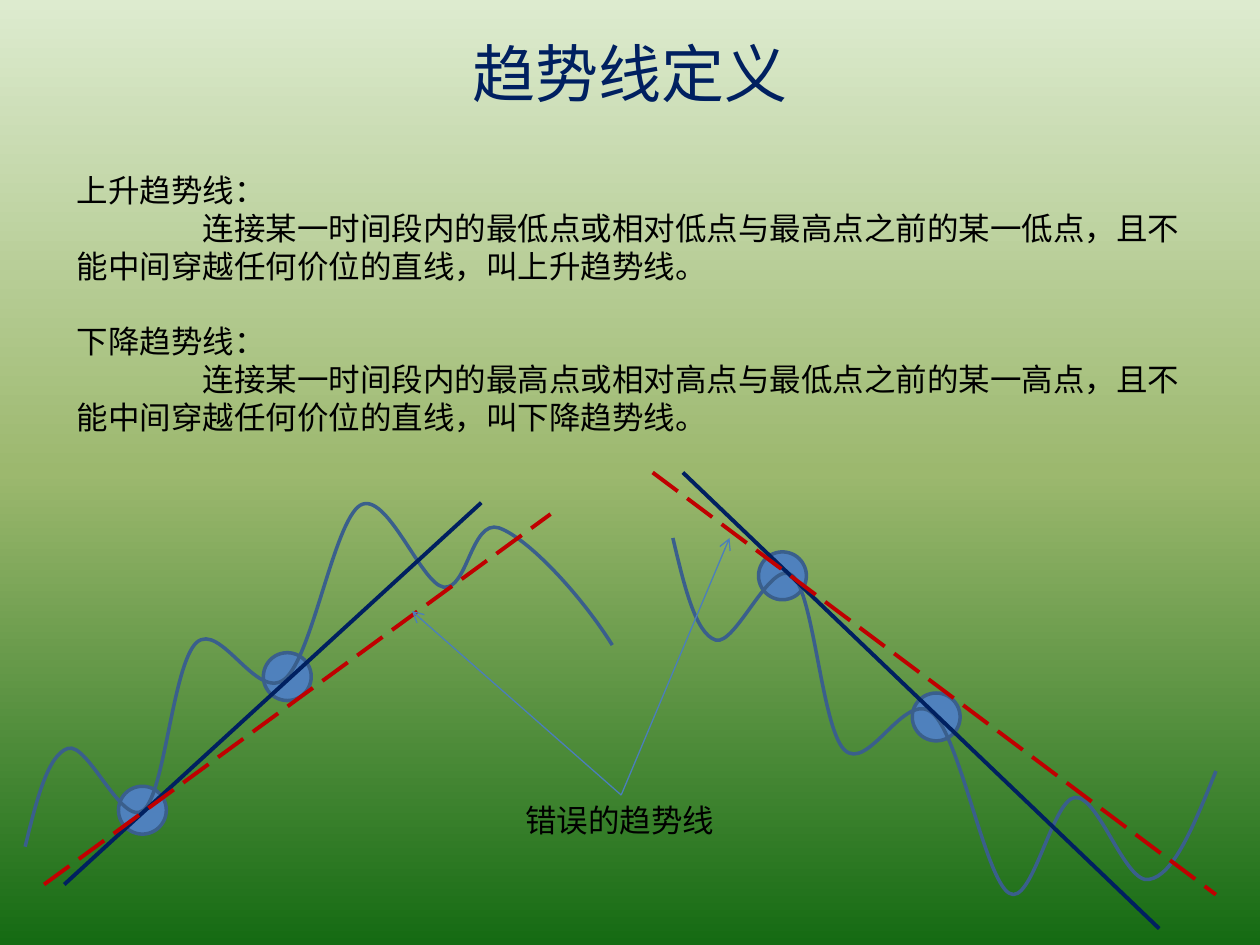
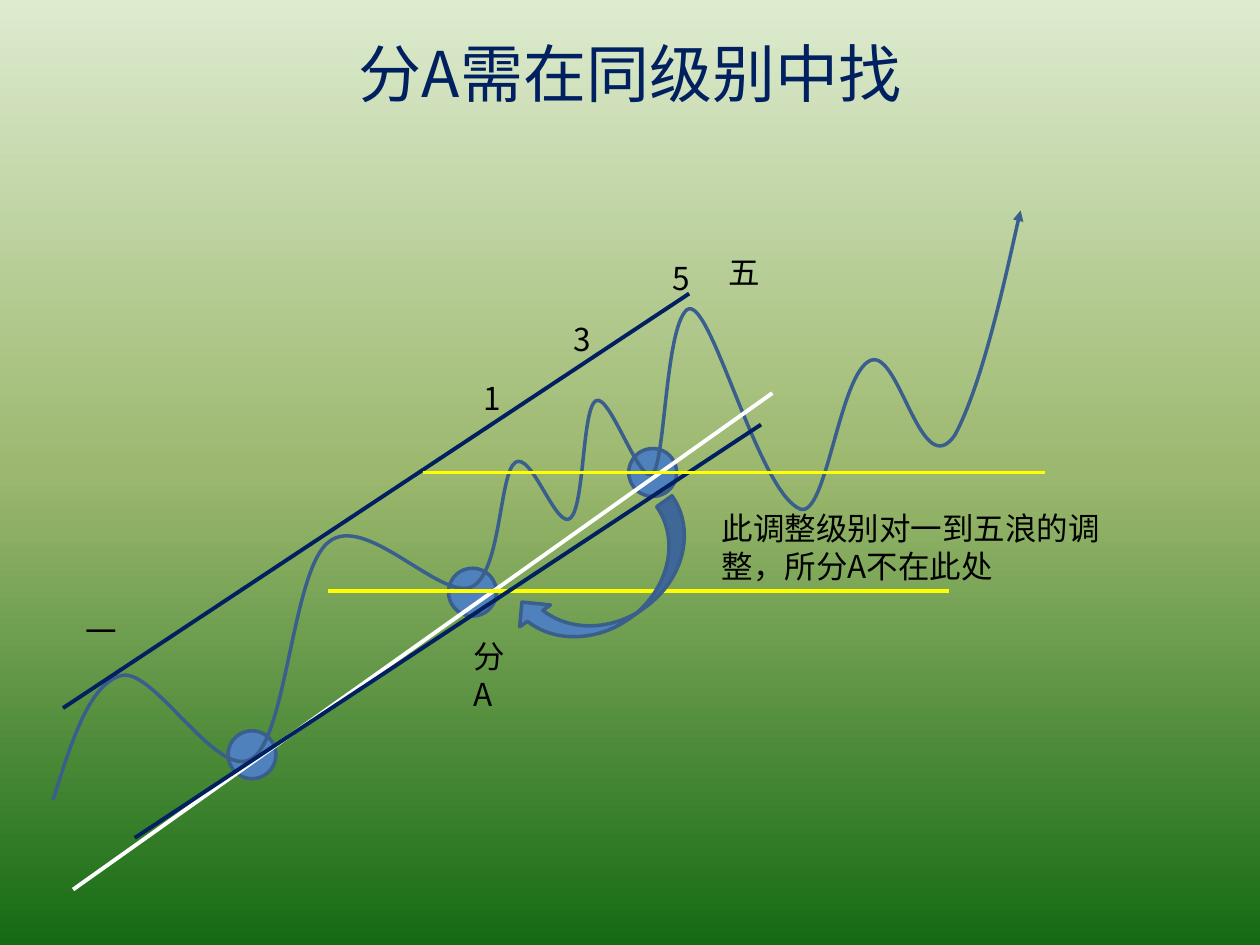
import copy

import lxml.etree
import pptx
import pptx.dml.color
import pptx.enum.dml
import pptx.enum.shapes
import pptx.enum.text
import pptx.oxml.ns
import pptx.util

COLORS = {
    "top": "DDEBCF", "middle": "9CB86E", "bottom": "156B13",
    "navy": "002060", "text": "000000", "fill": "4F81BD", "outline": "3A5F8C",
    "wrong": "C00000", "pointer": "4B7EBC", "level": "FFFF00", "steep": "FFFFFF",
}
FONT = "Noto Sans CJK SC"
GRID_CM = 2.54
CIRCLE_SIZE = 0.38
LINE_HEIGHT = 21.6

LINE_STYLES = {
    "trend": {"color": "navy", "width": 2.25},
    "wrong": {"color": "wrong", "width": 2.25, "dashed": True},
    "steep": {"color": "steep", "width": 2.25},
    "level": {"color": "level", "width": 2.25},
    "pointer": {"color": "pointer", "width": 0.75, "arrow": "arrow"},
}

DEFINITION = {
    "title": "趋势线定义",
    "circles": [(0.94, 6.24), (2.09, 5.18), (7.24, 5.5), (6.02, 4.38)],
    "curves": [
        ([(0.2, 6.72),
          (0.29, 6.35), (0.38, 5.99), (0.54, 5.94),
          (0.7, 5.89), (0.97, 6.57), (1.14, 6.43),
          (1.31, 6.29), (1.37, 5.28), (1.56, 5.1),
          (1.75, 4.93), (2.04, 5.57), (2.26, 5.39),
          (2.48, 5.21), (2.65, 4.14), (2.86, 4.01),
          (3.07, 3.89), (3.34, 4.63), (3.52, 4.66),
          (3.71, 4.69), (3.74, 4.12), (3.96, 4.19),
          (4.19, 4.27), (4.61, 4.72), (4.86, 5.12)], None),
        ([(5.34, 4.27),
          (5.43, 4.65), (5.52, 5.03), (5.68, 5.08),
          (5.84, 5.13), (6.12, 4.42), (6.29, 4.57),
          (6.46, 4.71), (6.52, 5.77), (6.7, 5.95),
          (6.89, 6.14), (7.18, 5.47), (7.4, 5.66),
          (7.62, 5.85), (7.82, 6.98), (8.01, 7.09),
          (8.19, 7.2), (8.35, 6.35), (8.53, 6.33),
          (8.72, 6.31), (8.93, 7.02), (9.12, 6.98),
          (9.31, 6.95), (9.47, 6.57), (9.65, 6.12)], None),
    ],
    "lines": [
        ("trend", (0.51, 7.02), (3.82, 3.99)),
        ("trend", (5.42, 3.75), (9.2, 7.37)),
        ("wrong", (0.35, 7.02), (4.37, 4.08)),
        ("wrong", (5.18, 3.75), (9.65, 7.1)),
        ("pointer", (4.93, 6.31), (3.27, 4.85)),
        ("pointer", (4.93, 6.31), (5.79, 4.27)),
    ],
    "labels": [("错误的趋势线", (4.07, 6.31, 1.72, 0.4), False)],
}
DEFINITIONS_BOX = (0.51, 1.31, 8.98, 2.22)
DEFINITIONS = [
    ("上升趋势线：",
     "连接某一时间段内的最低点或相对低点与最高点之前的某一低点，且不能中间穿越任何价位的直线，叫上升趋势线。"),
    ("下降趋势线：",
     "连接某一时间段内的最高点或相对高点与最低点之前的某一高点，且不能中间穿越任何价位的直线，叫下降趋势线。"),
]

SAME_LEVEL = {
    "title": "分A需在同级别中找",
    "circles": [(4.99, 3.56), (1.81, 5.8), (3.56, 4.51)],
    "curves": [
        ([(0.42, 6.35),
          (0.57, 5.88), (0.71, 5.42), (0.97, 5.36),
          (1.23, 5.31), (1.73, 6.2), (2, 6.02),
          (2.28, 5.84), (2.32, 4.52), (2.61, 4.3),
          (2.9, 4.07), (3.49, 4.76), (3.74, 4.66),
          (3.98, 4.55), (3.96, 3.76), (4.09, 3.67),
          (4.22, 3.58), (4.42, 4.22), (4.53, 4.11),
          (4.64, 4), (4.62, 3.24), (4.73, 3.18),
          (4.84, 3.12), (5.08, 3.86), (5.18, 3.76),
          (5.28, 3.66), (5.28, 2.61), (5.45, 2.46),
          (5.63, 2.31), (6.01, 3.9), (6.35, 4.04),
          (6.56, 4.12), (6.66, 2.96), (6.91, 2.86),
          (7.14, 2.77), (7.31, 3.85), (7.58, 3.45),
          (7.81, 3.02), (8.02, 2.01), (8.1, 1.67)], "triangle"),
    ],
    "lines": [
        ("steep", (0.58, 7.06), (6.13, 3.12)),
        ("level", (2.6, 4.69), (7.53, 4.69)),
        ("trend", (0.5, 5.62), (5.47, 2.33)),
        ("trend", (1.07, 6.65), (6.04, 3.37)),
        ("level", (3.36, 3.75), (8.29, 3.75)),
    ],
    "labels": [
        ("分A", (3.66, 5.01, 0.58, 0.71), True),
        ("此调整级别对一到五浪的调整，所分A不在此处", (5.63, 3.99, 3.23, 0.71), True),
        ("1", (3.74, 2.96, 0.33, 0.4), False),
        ("3", (4.45, 2.49, 0.33, 0.4), False),
        ("5", (5.24, 2.01, 0.33, 0.4), False),
        ("一", (0.58, 4.81, 0.45, 0.4), False),
        ("五", (5.68, 1.96, 0.45, 0.4), False),
    ],
}
CURVED_ARROW_BOX = (4.55, 3.84, 0.6, 1.61)
CURVED_ARROW_ROTATION = 54.7

qn = pptx.oxml.ns.qn
MsoShape = pptx.enum.shapes.MSO_SHAPE


def lengths(values):
    return [pptx.util.Cm(value * GRID_CM) for value in values]


def rgb(name):
    return pptx.dml.color.RGBColor.from_string(COLORS[name])


def add_run(paragraph, text, size=18, color="text"):
    run = paragraph.add_run()
    run.text = text
    run.font.size = pptx.util.Pt(size)
    run.font.name = FONT
    run.font.color.rgb = rgb(color)
    east_asian = lxml.etree.SubElement(run.font._element, qn("a:ea"))
    east_asian.set("typeface", FONT)


def style_line(shape, color, width, dashed=False, arrow=None):
    shape.line.color.rgb = rgb(color)
    shape.line.width = pptx.util.Pt(width)
    if dashed:
        shape.line.dash_style = pptx.enum.dml.MSO_LINE.LONG_DASH
    if arrow:
        outline = shape.element.spPr.find(qn("a:ln"))
        lxml.etree.SubElement(outline, qn("a:tailEnd")).set("type", arrow)


def add_filled_shape(slide, kind, box):
    shape = slide.shapes.add_shape(kind, *lengths(box))
    shape.shadow.inherit = False
    shape.fill.solid()
    shape.fill.fore_color.rgb = rgb("fill")
    style_line(shape, "outline", 2)
    return shape


def add_curve(slide, points, arrow):
    start, *controls = [lengths(point) for point in points]
    builder = slide.shapes.build_freeform(*start)
    builder.add_line_segments(controls, close=False)
    shape = builder.convert_to_shape()
    shape.shadow.inherit = False
    shape.fill.background()
    style_line(shape, "outline", 2, arrow=arrow)
    segments = list(shape.element.iter(qn("a:lnTo")))
    trace = segments[0].getparent()
    for first in range(0, len(segments), 3):
        bezier = lxml.etree.SubElement(trace, qn("a:cubicBezTo"))
        for segment in segments[first:first + 3]:
            bezier.append(segment[0])
            trace.remove(segment)


def add_line(slide, style, start, end):
    connector = slide.shapes.add_connector(
        pptx.enum.shapes.MSO_CONNECTOR.STRAIGHT, *lengths(start + end))
    style_line(connector, **LINE_STYLES[style])
    lxml.etree.SubElement(connector.element.spPr, qn("a:effectLst"))


def add_text_frame(slide, box, wrap=True):
    frame = slide.shapes.add_textbox(*lengths(box)).text_frame
    frame.word_wrap = wrap
    return frame


def add_definitions(slide):
    frame = add_text_frame(slide, DEFINITIONS_BOX)
    for index, (term, meaning) in enumerate(DEFINITIONS):
        heading = frame.add_paragraph() if index else frame.paragraphs[0]
        if index:
            heading.space_before = pptx.util.Pt(LINE_HEIGHT)
        add_run(heading, term)
        body = frame.add_paragraph()
        properties = body._p.get_or_add_pPr()
        properties.set("marL", "0")
        properties.set("indent", str(pptx.util.Cm(GRID_CM)))
        add_run(body, meaning)


def prepare_template(presentation):
    master = presentation.slide_master
    fill = master.background.fill
    fill.gradient()
    fill.gradient_angle = 270
    stop_list = master.element.find(".//" + qn("a:gsLst"))
    stop_list.append(copy.deepcopy(stop_list[-1]))
    for stop, position, color in zip(
            fill.gradient_stops, (0, 0.5, 1), ("top", "middle", "bottom")):
        stop.position = position
        stop.color.rgb = rgb(color)
    layout = presentation.slide_layouts.get_by_name("Title Only")
    title = layout.placeholders[0]
    title.left, title.top, title.width, title.height = lengths((0.5, 0.3, 9, 0.54))
    return layout


def add_slide(presentation, layout, content):
    slide = presentation.slides.add_slide(layout)
    frame = slide.shapes.title.text_frame
    frame.auto_size = pptx.enum.text.MSO_AUTO_SIZE.NONE
    frame.vertical_anchor = pptx.enum.text.MSO_ANCHOR.MIDDLE
    paragraph = frame.paragraphs[0]
    paragraph.alignment = pptx.enum.text.PP_ALIGN.CENTER
    add_run(paragraph, content["title"], 36, "navy")
    for corner in content["circles"]:
        add_filled_shape(slide, MsoShape.OVAL, corner + (CIRCLE_SIZE, CIRCLE_SIZE))
    for points, arrow in content["curves"]:
        add_curve(slide, points, arrow)
    for line in content["lines"]:
        add_line(slide, *line)
    for text, box, wrap in content["labels"]:
        add_run(add_text_frame(slide, box, wrap).paragraphs[0], text)
    return slide


def main():
    presentation = pptx.Presentation()
    presentation.slide_width, presentation.slide_height = lengths((10, 7.5))
    layout = prepare_template(presentation)
    add_definitions(add_slide(presentation, layout, DEFINITION))
    same_level = add_slide(presentation, layout, SAME_LEVEL)
    arrow = add_filled_shape(same_level, MsoShape.CURVED_LEFT_ARROW, CURVED_ARROW_BOX)
    arrow.rotation = CURVED_ARROW_ROTATION
    presentation.save("out.pptx")


if __name__ == "__main__":
    main()
